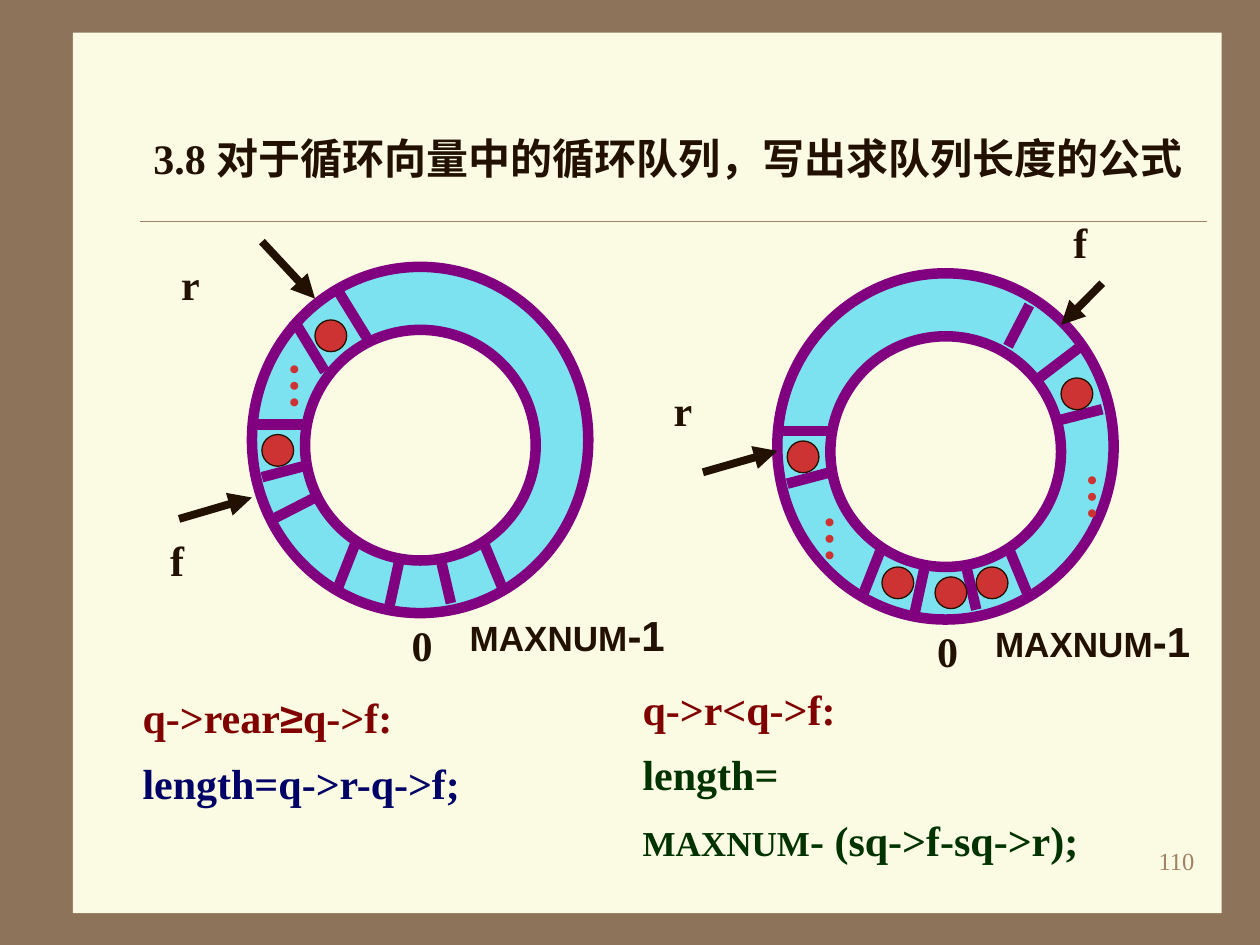
from lxml import etree
from pptx import Presentation
from pptx.dml.color import RGBColor
from pptx.enum.shapes import MSO_CONNECTOR, MSO_SHAPE
from pptx.enum.text import MSO_ANCHOR, MSO_AUTO_SIZE, PP_ALIGN
from pptx.oxml.ns import qn
from pptx.util import Cm, Pt

STRAIGHT = MSO_CONNECTOR.STRAIGHT
OVAL, RECT = MSO_SHAPE.OVAL, MSO_SHAPE.RECTANGLE
TOP, NO_FIT = MSO_ANCHOR.TOP, MSO_AUTO_SIZE.NONE
LEFT, RIGHT = PP_ALIGN.LEFT, PP_ALIGN.RIGHT

BROWN = RGBColor(0x8C, 0x73, 0x5A)
CREAM = RGBColor(0xFB, 0xFA, 0xE2)
TAN = RGBColor(0xA0, 0x83, 0x66)
INK = RGBColor(0x22, 0x11, 0x00)
CYAN = RGBColor(0x00, 0xCC, 0xFF)
PURPLE = RGBColor(0x80, 0x00, 0x80)
RED = RGBColor(0xCD, 0x33, 0x33)
MAROON = RGBColor(0x80, 0x00, 0x00)
NAVY = RGBColor(0x00, 0x00, 0x66)
GREEN = RGBColor(0x00, 0x33, 0x00)
SERIF, SANS = "Times New Roman", "Arial"

SPOKES = [(2.97, 5.92, 2.74, 6.98), (3.81, 5.92, 4.01, 6.78),
          (4.65, 5.51, 5.08, 6.55), (2.11, 5.51, 1.7, 6.55),
          (0.2, 4.24, 1.07, 4.01), (0, 3.18, 1.07, 3.18)]
BALLS = [(0.2, 3.38)]


class Deck:
    """Holds the style and the current slide, and draws each kind of element."""

    def __init__(self, prs):
        self.slide = prs.slides.add_slide(prs.slide_layouts[3])
        self.shapes = self.slide.shapes
        fill = self.slide.background.fill
        fill.solid()
        fill.fore_color.rgb = BROWN

    def shape(self, kind, x, y, w, h, color, line=None, width=0, alpha=None):
        sp = self.shapes.add_shape(kind, Cm(x), Cm(y), Cm(w), Cm(h))
        sp.shadow.inherit = False
        sp.fill.solid()
        sp.fill.fore_color.rgb = color
        if alpha:
            clr = sp._element.spPr.find(".//" + qn("a:srgbClr"))
            etree.SubElement(clr, qn("a:alpha"), val=str(alpha * 1000))
        if line is None:
            sp.line.fill.background()
        else:
            sp.line.color.rgb = line
            sp.line.width = Pt(width)
        return sp

    def line(self, x1, y1, x2, y2, color, width, arrow=False):
        c = self.shapes.add_connector(STRAIGHT, Cm(x1), Cm(y1), Cm(x2), Cm(y2))
        c.line.color.rgb = color
        c.line.width = Pt(width)
        if arrow:
            ln = c._element.spPr.find(qn("a:ln"))
            etree.SubElement(ln, qn("a:tailEnd"), type="triangle")
        etree.SubElement(c._element.spPr, qn("a:effectLst"))

    def add_runs(self, p, runs, bold=True):
        for text, size, font, color in runs:
            r = p.add_run()
            r.text = text
            r.font.size, r.font.name, r.font.bold = Pt(size), font, bold
            r.font.color.rgb = color

    def text(self, x, y, w, h, runs, bold=True, align=LEFT):
        sp = self.shapes.add_textbox(Cm(x), Cm(y), Cm(w), Cm(h))
        sp.text_frame.word_wrap = True
        p = sp.text_frame.paragraphs[0]
        p.alignment = align
        self.add_runs(p, runs, bold)
        return sp

    def dots(self, x, y):
        sp = self.text(x, y, 1.68, 1.5, [("…", 28, SERIF, RED)])
        tf = sp.text_frame
        tf.margin_left = tf.margin_right = Cm(0.13)
        tf.margin_top = tf.margin_bottom = Cm(0.25)
        tf._txBody.bodyPr.set("vert", "eaVert")
        tf.paragraphs[0].runs[0].font.italic = True

    def placeholder(self, index, x, y, w, h, paragraphs, tab=None):
        sp = self.slide.placeholders[index]
        sp.left, sp.top, sp.width, sp.height = Cm(x), Cm(y), Cm(w), Cm(h)
        tf = sp.text_frame
        tf.word_wrap, tf.auto_size, tf.vertical_anchor = True, NO_FIT, TOP
        for i, runs in enumerate(paragraphs):
            p = tf.add_paragraph() if i else tf.paragraphs[0]
            pPr = p._p.get_or_add_pPr()
            pPr.set("marL", "0")
            pPr.set("indent", "0")
            etree.SubElement(pPr, qn("a:buNone"))
            if tab:
                tabs = etree.SubElement(pPr, qn("a:tabLst"))
                etree.SubElement(tabs, qn("a:tab"), pos=str(Cm(tab)), algn="l")
            p.alignment, p.line_spacing, p.space_before = LEFT, 1.3, Pt(0)
            self.add_runs(p, runs)
        return sp

    def ring(self, x, y, spokes, balls, dots, arrows, labels):
        self.shapes = self.slide.shapes.add_group_shape().shapes
        self.shape(OVAL, x, y, 6.78, 6.98, CYAN, PURPLE, 6, alpha=50)
        self.shape(OVAL, x + 1.07, y + 1.27, 4.65, 4.65, CREAM, PURPLE, 6)
        for x1, y1, x2, y2 in SPOKES + spokes:
            self.line(x + x1, y + y1, x + x2, y + y2, PURPLE, 6)
        for x1, y1, x2, y2 in arrows:
            self.line(x + x1, y + y1, x + x2, y + y2, INK, 4.5, arrow=True)
        for dx, dy in BALLS + balls:
            self.shape(OVAL, x + dx, y + dy, 0.64, 0.64, RED, INK, 0.75)
        for dx, dy in dots:
            self.dots(x + dx, y + dy)
        for name, dx, dy in labels + [("0", 2.97, 6.98)]:
            self.text(x + dx, y + dy, 0.91, 1.27, [(name, 24, SERIF, INK)])
        self.text(x + 4.14, y + 6.78, 4.6, 1.27,
                  [("MAXNUM", 20, SANS, INK), ("-1", 24, SANS, INK)])
        self.shapes = self.slide.shapes


def main():
    prs = Presentation()
    prs.slide_width, prs.slide_height = Cm(25.4), Cm(19.05)
    deck = Deck(prs)

    title = deck.placeholder(0, 2.84, 2.24, 21.9, 1.57, [
        [("3.8\t对于循环向量中的循环队列，写出求队列长度的公式", 24, SERIF, INK)]], tab=1.7)
    panel = deck.shape(RECT, 1.47, 0.66, 23.16, 17.75, CREAM)
    title._element.addprevious(panel._element)
    deck.line(2.82, 4.45, 24.33, 4.45, TAN, 0.25)

    deck.ring(5.08, 5.38,
              spokes=[(0.84, 1.07, 1.47, 2.11), (1.7, 0.43, 2.34, 1.47),
                      (0.43, 5.08, 1.27, 4.65)],
              balls=[(1.27, 1.07)],
              dots=[(0.23, 1.7)],
              arrows=[(0.2, -0.51, 1.27, 0.64), (-1.47, 5.08, 0, 4.65)],
              labels=[("r", -1.68, -0.3), ("f", -1.9, 5.28)])
    deck.ring(15.67, 5.51,
              spokes=[(6.12, 1.47, 5.28, 2.11), (5.08, 0.64, 4.65, 1.47),
                      (5.72, 2.95, 6.55, 2.74)],
              balls=[(5.72, 2.11), (4.01, 5.92), (3.18, 6.12), (2.11, 5.92)],
              dots=[(5.72, 3.81), (0.43, 4.65)],
              arrows=[(6.55, 0.2, 5.72, 1.04), (-1.5, 4.01, 0, 3.58)],
              labels=[("r", -2.34, 2.11), ("f", 5.72, -1.27)])

    deck.placeholder(1, 2.62, 13.51, 6.95, 2.9, [
        [("q->rear", 24, SERIF, MAROON), ("≥", 24, SANS, MAROON),
         ("q->f:", 24, SERIF, MAROON)],
        [("length=q->r-q->f;", 24, SERIF, NAVY)]])
    deck.placeholder(2, 12.7, 13.34, 9.5, 4.22, [
        [("q->r<q->f:", 24, SERIF, MAROON)],
        [("length=", 24, SERIF, GREEN)],
        [("MAXNUM", 20, SERIF, GREEN), ("- (sq->f-sq->r);", 24, SERIF, GREEN)]])
    deck.text(19.05, 16.94, 5.28, 1.27, [("110", 14, SERIF, TAN)],
              bold=False, align=RIGHT)
    prs.save("out.pptx")


if __name__ == "__main__":
    main()
